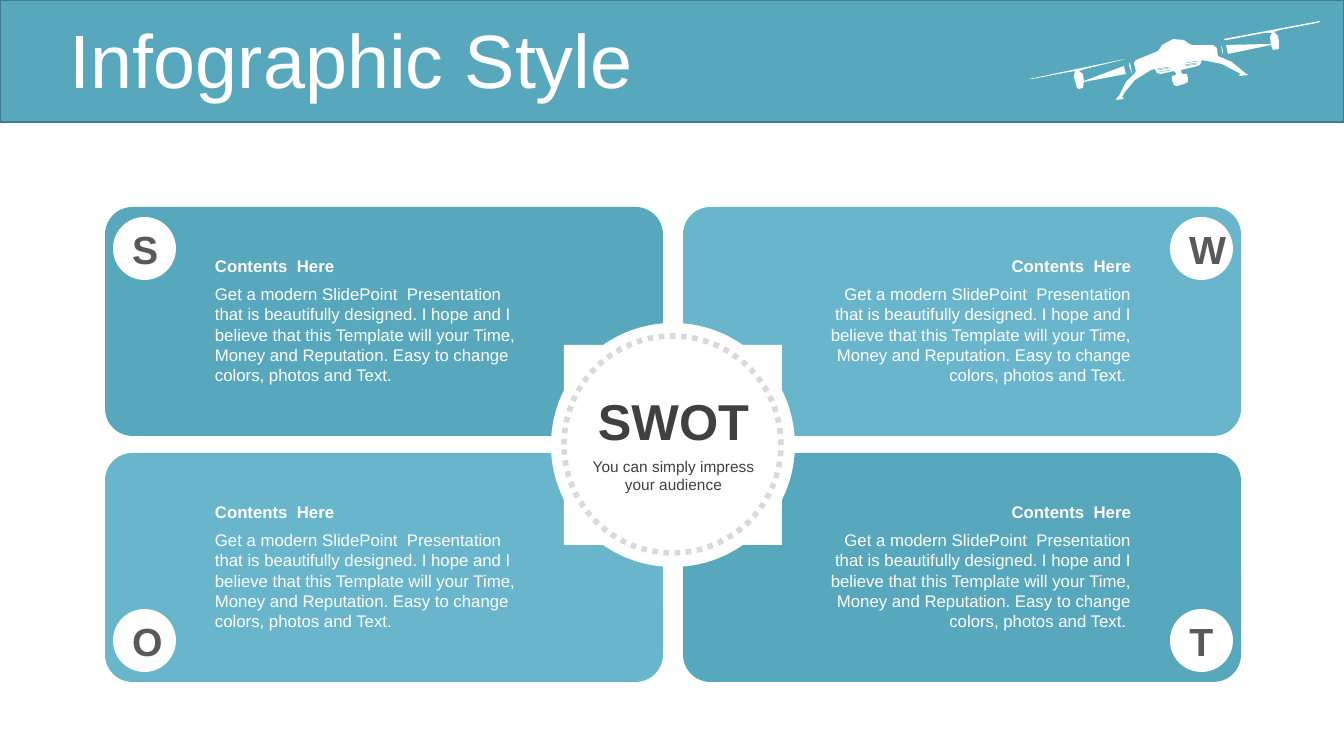
from pptx import Presentation
from pptx import util as u
from pptx.dml.color import RGBColor
from pptx.enum import dml, shapes, text
from pptx.oxml.ns import qn
from lxml import etree

PX = 914400 / 100.8
HEX = {"teal": "57A7BD", "sky": "69B6CC", "edge": "407C8C", "white": "FFFFFF",
       "dots": "D9D9D9", "badge": "595959", "dark": "404040"}
KIND = shapes.MSO_SHAPE
LEFT, MID, RIGHT = text.PP_ALIGN.LEFT, text.PP_ALIGN.CENTER, text.PP_ALIGN.RIGHT

HEAD = "Contents  Here"
BODY = ("Get a modern SlidePoint  Presentation that is beautifully designed. "
        "I hope and I believe that this Template will your Time, Money and "
        "Reputation. Easy to change colors, photos and Text.")

# Letter, column, row, panel colour
PANELS = [("S", 0, 0, "teal"), ("W", 1, 0, "sky"),
          ("O", 0, 1, "sky"), ("T", 1, 1, "teal")]

DRONE = {
    "right rotor": [
        (1224, 39), (1320, 21), (1320, 22), (1317, 23), (1280, 30), (1274, 32),
        (1278, 36), (1279, 42), (1279, 49), (1273, 50), (1271, 45), (1228, 54),
        (1226, 45), (1271, 44), (1270, 37), (1272, 33), (1264, 33), (1227, 40),
        (1224, 40)],
    "left rotor": [
        (1124, 66), (1126, 74), (1084, 82), (1083, 88), (1079, 89), (1077, 88),
        (1074, 77), (1075, 71), (1069, 72), (1032, 79), (1029, 79), (1125, 59),
        (1122, 60), (1085, 69), (1079, 71), (1083, 74), (1084, 81)],
    "left joint": [(1130, 62), (1132, 74), (1130, 68), (1129, 65)],
    "right joint": [(1221, 45), (1223, 50), (1223, 55)],
    "body": [
        (1245, 73), (1244, 72), (1232, 62), (1218, 56), (1217, 48), (1213, 45),
        (1192, 45), (1188, 43), (1184, 40), (1173, 39), (1162, 45), (1159, 50),
        (1156, 52), (1136, 60), (1134, 63), (1136, 71), (1135, 73), (1126, 82),
        (1119, 96), (1117, 98), (1116, 100), (1123, 99), (1124, 98), (1122, 97),
        (1125, 92), (1135, 80), (1151, 70), (1155, 69), (1157, 73), (1161, 74),
        (1174, 71), (1176, 73), (1176, 75), (1172, 76), (1172, 80), (1174, 85),
        (1177, 86), (1184, 84), (1188, 82), (1188, 78), (1187, 74), (1182, 74),
        (1181, 70), (1185, 69), (1194, 67), (1200, 65), (1202, 60), (1222, 64),
        (1241, 74), (1239, 75), (1240, 76), (1248, 75), (1247, 74)],
}
VENTS = [(1157, 69), (1158, 70), (1159, 72), (1185, 66), (1185, 65), (1186, 63)]


def emu(*px):
    return [round(n * PX) for n in px]


def color(name):
    return RGBColor.from_string(HEX[name])


def paint(shape, fill=None, line=None, width=1):
    shape.shadow.inherit = False
    if fill:
        shape.fill.solid()
        shape.fill.fore_color.rgb = color(fill)
    else:
        shape.fill.background()
    if line:
        shape.line.color.rgb = color(line)
        shape.line.width = u.Pt(width)
    else:
        shape.line.fill.background()


def block(slide, kind, box, **look):
    shape = slide.shapes.add_shape(kind, *emu(*box))
    paint(shape, **look)
    return shape


def write(shape, words, size, ink, align=LEFT, bold=None):
    para = shape.text_frame.paragraphs[0]
    para.alignment = align
    run = para.add_run()
    run.text = words
    for name, value in {"name": "Arial", "size": u.Pt(size), "bold": bold}.items():
        setattr(run.font, name, value)
    run.font.color.rgb = color(ink)
    return para


def label(slide, box, *args, anchor=text.MSO_ANCHOR.TOP, **style):
    shape = slide.shapes.add_textbox(*emu(*box))
    shape.text_frame.word_wrap = True
    shape.text_frame.vertical_anchor = anchor
    return write(shape, *args, **style)


def outline(slide, points):
    pen = slide.shapes.build_freeform(*points[0], scale=PX)
    pen.add_line_segments(points[1:], close=True)
    paint(pen.convert_to_shape(), fill="white")


def vent(slide, x, y):
    line = slide.shapes.add_connector(shapes.MSO_CONNECTOR.STRAIGHT,
                                      *emu(x, y, x + 12, y - 2))
    line.line.color.rgb = color("teal")
    line.line.width = u.Pt(0.25)
    etree.SubElement(line._element.spPr, qn("a:effectLst"))


def banner(slide):
    block(slide, KIND.RECTANGLE, (0, 0, 1344, 122), fill="teal", line="edge")
    for points in DRONE.values():
        outline(slide, points)
    for x, y in VENTS:
        vent(slide, x, y)
    title = label(slide, (60, 24, 1251, 80), "Infographic Style", 54, "white",
                  anchor=text.MSO_ANCHOR.MIDDLE)
    title.line_spacing = 0.9


def panel(slide, col, row, fill):
    box = (105 + 578 * col, 207 + 246 * row, 558, 229)
    shape = block(slide, KIND.ROUNDED_RECTANGLE, box, fill=fill)
    shape.adjustments[0] = 0.12


def hub(slide):
    block(slide, KIND.RECTANGLE, (564, 345, 218, 200), fill="white")
    block(slide, KIND.OVAL, (551, 323, 244, 244), fill="white")
    ring = block(slide, KIND.OVAL, (564, 336, 217, 217), line="dots", width=4)
    ring.line.dash_style = dml.MSO_LINE.ROUND_DOT
    label(slide, (578, 385, 191, 72), "SWOT", 36, "dark", align=MID, bold=True)
    label(slide, (578, 452, 191, 47), "You can simply impress your audience",
          11, "dark", align=MID)


def content(slide, letter, col, row):
    badge = block(slide, KIND.OVAL, (113 + 1057 * col, 217 + 392 * row, 63, 63),
                  fill="white")
    badge.text_frame.vertical_anchor = text.MSO_ANCHOR.MIDDLE
    write(badge, letter, 28, "badge", align=MID, bold=True)
    x, y = 205 + 610 * col, 251 + 246 * row
    side, tail = (RIGHT, " ") if col else (LEFT, "")
    label(slide, (x, y, 326, 30), HEAD, 12, "white", align=side, bold=True)
    label(slide, (x, y + 28, 326, 112), BODY + tail, 12, "white", align=side)


def main():
    deck = Presentation()
    deck.slide_width, deck.slide_height = emu(1344, 756)
    slide = deck.slides.add_slide(deck.slide_layouts[6])
    banner(slide)
    for _, col, row, fill in PANELS:
        panel(slide, col, row, fill)
    hub(slide)
    for letter, col, row, _ in PANELS:
        content(slide, letter, col, row)
    deck.save("out.pptx")


if __name__ == "__main__":
    main()
